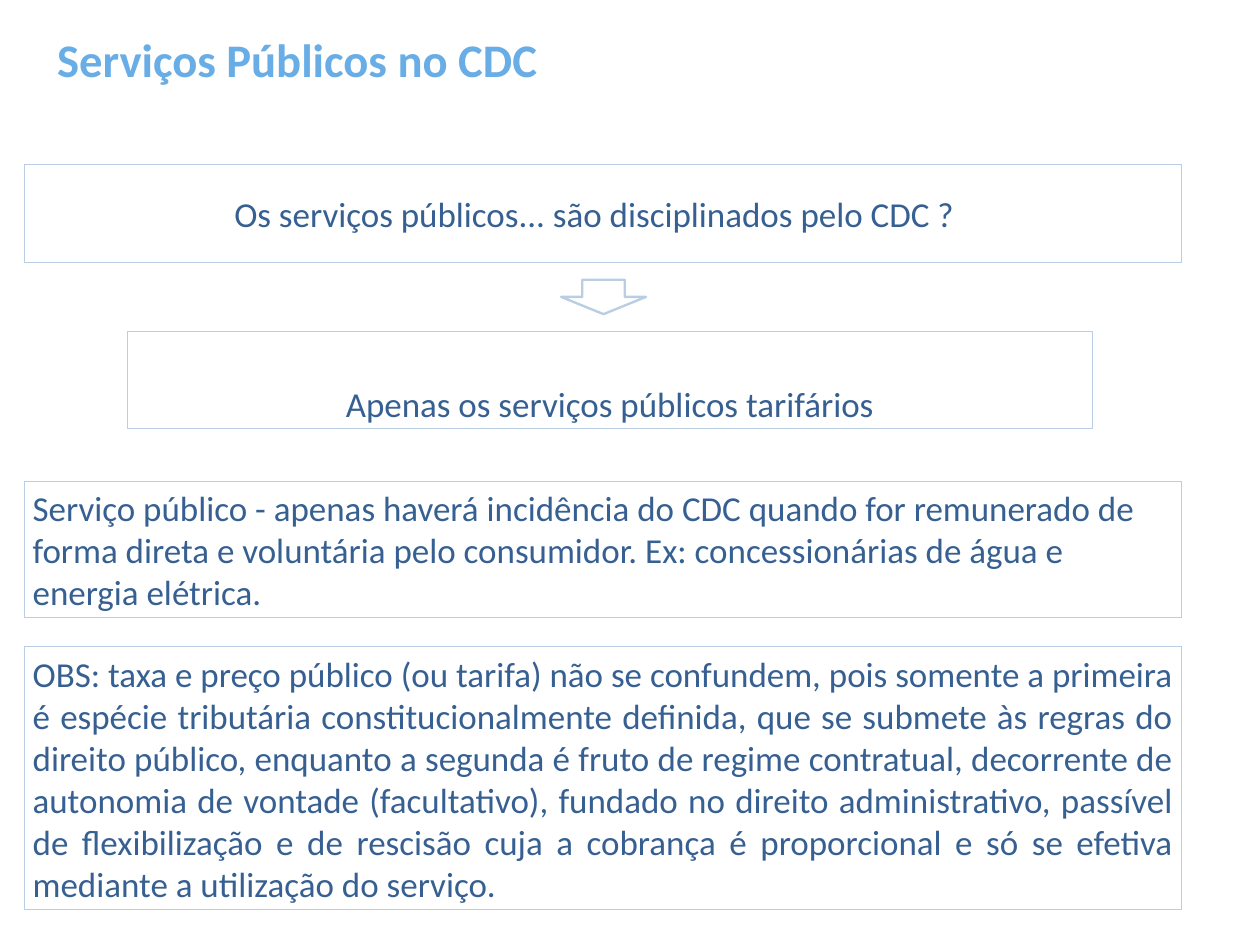
"""Build the slide on public services under the consumer code (CDC)."""
from pptx import Presentation
from pptx.dml.color import RGBColor
from pptx.enum.shapes import MSO_SHAPE
from pptx.enum.text import MSO_ANCHOR, MSO_AUTO_SIZE, PP_ALIGN
from pptx.util import Inches, Pt

TITLE_BLUE = RGBColor(0x69, 0xAD, 0xE7)
TEXT_BLUE = RGBColor(0x37, 0x60, 0x92)
LINE_BLUE = RGBColor(0xB9, 0xCD, 0xE5)

FULL_LEFT, FULL_WIDTH = 0.29, 13.78
TITLE_FONT = {"name": "Calibri", "size": Pt(40), "bold": True}
BODY_FONT = {"name": "Calibri", "size": Pt(30)}


def write_text(shape, text, font_values, color, alignment, anchor):
    frame = shape.text_frame
    frame.text = text
    frame_values = {
        "word_wrap": True,
        "auto_size": MSO_AUTO_SIZE.NONE,
        "vertical_anchor": anchor,
    }
    for name, value in frame_values.items():
        setattr(frame, name, value)
    paragraph = frame.paragraphs[0]
    paragraph.alignment = alignment
    for name, value in font_values.items():
        setattr(paragraph.font, name, value)
    paragraph.font.color.rgb = color


def add_outline(slide, kind, left, top, width, height, line_width):
    shape = slide.shapes.add_shape(
        kind, Inches(left), Inches(top), Inches(width), Inches(height)
    )
    shape.shadow.inherit = False
    shape.fill.background()
    shape.line.color.rgb = LINE_BLUE
    shape.line.width = Pt(line_width)
    return shape


presentation = Presentation()
presentation.slide_width = Inches(15)
presentation.slide_height = Inches(11.25)
slide = presentation.slides.add_slide(presentation.slide_layouts[5])

title = slide.shapes.title
title_place = {"left": 0.58, "top": 0.35, "width": 10.24, "height": 0.71}
for name, value in title_place.items():
    setattr(title, name, Inches(value))
write_text(
    title, "Serviços Públicos no CDC", TITLE_FONT, TITLE_BLUE,
    PP_ALIGN.LEFT, MSO_ANCHOR.MIDDLE,
)

boxes = [
    (FULL_LEFT, 1.96, FULL_WIDTH, 1.16, 0.36, PP_ALIGN.CENTER, MSO_ANCHOR.MIDDLE,
     "Os serviços públicos... são disciplinados pelo CDC ?"),
    (1.52, 3.94, 11.48, 1.16, 0.15, PP_ALIGN.CENTER, MSO_ANCHOR.BOTTOM,
     "Apenas os serviços públicos tarifários"),
    (FULL_LEFT, 5.73, FULL_WIDTH, 1.62, 0.1, PP_ALIGN.LEFT, MSO_ANCHOR.MIDDLE,
     "Serviço público - apenas haverá incidência do CDC quando for remunerado de "
     "forma direta e voluntária pelo consumidor. Ex: concessionárias de água e "
     "energia elétrica."),
    (FULL_LEFT, 7.7, FULL_WIDTH, 3.13, 0.1, PP_ALIGN.JUSTIFY, MSO_ANCHOR.MIDDLE,
     "OBS: taxa e preço público (ou tarifa) não se confundem, pois somente a "
     "primeira é espécie tributária constitucionalmente definida, que se submete "
     "às regras do direito público, enquanto a segunda é fruto de regime "
     "contratual, decorrente de autonomia de vontade (facultativo), fundado no "
     "direito administrativo, passível de flexibilização e de rescisão cuja a "
     "cobrança é proporcional e só se efetiva mediante a utilização do serviço."),
]
for left, top, width, height, right_inset, alignment, anchor, text in boxes:
    box = add_outline(slide, MSO_SHAPE.RECTANGLE, left, top, width, height, 0.75)
    write_text(box, text, BODY_FONT, TEXT_BLUE, alignment, anchor)
    box.text_frame.margin_left = Inches(min(right_inset, 0.15))
    box.text_frame.margin_right = Inches(right_inset)

add_outline(slide, MSO_SHAPE.DOWN_ARROW, 6.68, 3.33, 1.01, 0.41, 2)

presentation.save("out.pptx")
